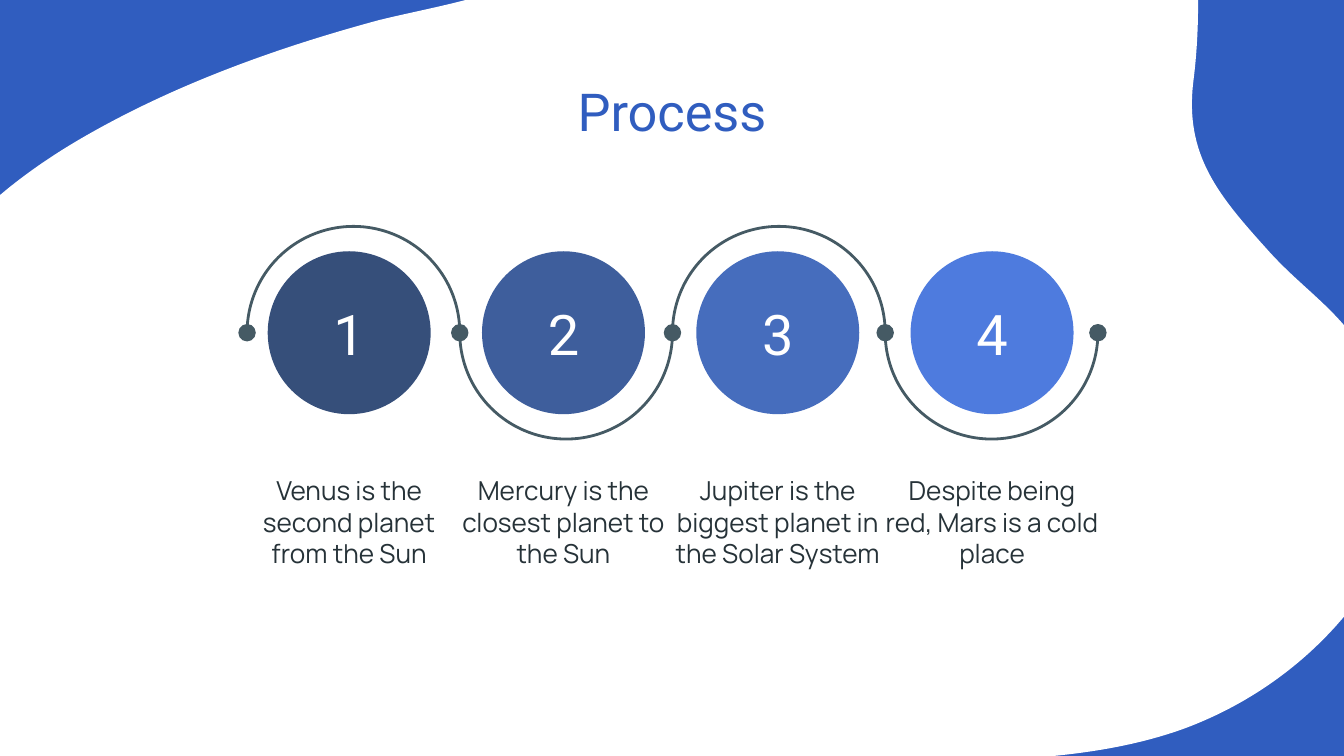
"""Build a slide with a four-step process along a winding line."""
from math import cos, radians, sin

from pptx import Presentation
from pptx.dml.color import RGBColor
from pptx.enum.shapes import MSO_SHAPE as Shape
from pptx.enum.text import MSO_ANCHOR as Anchor, MSO_AUTO_SIZE as AutoSize, PP_ALIGN as Align
from pptx.oxml.ns import qn
from pptx.util import Cm, Pt

COLORS = {"blue": "305DBF", "white": "FFFFFF", "line": "455A64", "text": "263238"}
STEPS = [
    ("364F7A", "Venus is the second planet from the Sun"),
    ("3E5E9C", "Mercury is the closest planet to the Sun"),
    ("466DBD", "Jupiter is the biggest planet in the Solar System"),
    ("4E7BDE", "Despite being red, Mars is a cold place"),
]
BLOB_ANGLE = 22.5
BLOB_START = (7.85, -2.1)
BLOB_CURVES = [
    ((7.52, -2.23), (7.1, -2.28), (6.56, -2.19)),
    ((5.7, -2.04), (5.05, -1.35), (4.58, -0.67)),
    ((4.18, -0.08), (3.43, 0), (2.82, 0.15)),
    ((2.08, 0.35), (1.32, 0.62), (0.64, 1.01)),
    ((-0.76, 1.81), (-1.14, 2.89), (-1.02, 4.23)),
    ((-0.98, 4.64), (-0.9, 5.28), (-0.17, 6)),
    ((0.1, 6.27), (0.41, 6.48), (0.74, 6.61)),
    ((1.59, 6.97), (2.61, 6.89), (3.76, 6.51)),
    ((4.13, 6.39), (4.48, 6.2), (4.83, 6.06)),
    ((5.21, 5.91), (5.6, 5.81), (6, 5.75)),
    ((6.93, 5.62), (7.91, 5.74), (8.79, 5.43)),
    ((9.26, 5.26), (9.68, 4.97), (10, 4.59)),
    ((10.41, 4.12), (10.54, 3.49), (10.3, 2.92)),
    ((10.08, 2.37), (9.76, 2.22), (9.45, 1.88)),
    ((9.07, 1.46), (8.81, 1.16), (8.88, 0.6)),
    ((8.97, -0.11), (8.96, -1.63), BLOB_START),
]
CENTER_Y = 6.29
CIRCLE_LEFT, CIRCLE_SIZE, CIRCLE_STEP = 5.06, 3.08, 4.05
ARC_LEFT, ARC_SIZE, DOT_SIZE = 4.67, 4.02, 0.33
CAPTION_WIDTH = 4.55


def write_text(shape, text, size, color, font="Roboto", anchor=Anchor.TOP, fit=AutoSize.NONE):
    frame = shape.text_frame
    frame.word_wrap = True
    frame.auto_size = fit
    frame.vertical_anchor = anchor
    frame.margin_left = frame.margin_right = frame.margin_top = frame.margin_bottom = Cm(0.25)
    paragraph = frame.paragraphs[0]
    paragraph.alignment = Align.CENTER
    run = paragraph.add_run()
    run.text = text
    run.font.name = font
    run.font.size = Pt(size)
    run.font.color.rgb = RGBColor.from_string(COLORS[color])


def fill_plain(shape, color):
    shape.shadow.inherit = False
    shape.fill.solid()
    shape.fill.fore_color.rgb = RGBColor.from_string(color)
    shape.line.fill.background()


presentation = Presentation()
presentation.slide_width, presentation.slide_height = Cm(25.4), Cm(14.29)
slide = presentation.slides.add_slide(presentation.slide_layouts[5])
shapes = slide.shapes
background = slide.background.fill
background.solid()
background.fore_color.rgb = RGBColor.from_string(COLORS["blue"])

turn = complex(cos(radians(BLOB_ANGLE)), sin(radians(BLOB_ANGLE)))
outline = []
for x, y in [BLOB_START] + [point for curve in BLOB_CURVES for point in curve]:
    turned = complex(x, y) / turn
    outline.append((Cm(2.54 * turned.real), Cm(2.54 * turned.imag)))
builder = shapes.build_freeform(*outline[0])
builder.add_line_segments(outline[1:], close=True)
blob = builder.convert_to_shape()
segments = list(blob.element.iter(qn("a:lnTo")))
for index in range(0, len(segments), 3):
    bezier = segments[index].makeelement(qn("a:cubicBezTo"))
    segments[index].addprevious(bezier)
    for segment in segments[index:index + 3]:
        bezier.append(segment[0])
        segment.getparent().remove(segment)
center = complex(blob.left + blob.width / 2, blob.top + blob.height / 2) * turn
blob.left = int(center.real - blob.width / 2)
blob.top = int(center.imag - blob.height / 2)
blob.rotation = BLOB_ANGLE
fill_plain(blob, COLORS["white"])

title = shapes.title
blob.element.addnext(title.element)
title.left, title.top, title.width, title.height = Cm(1.9), Cm(1.24), Cm(21.6), Cm(1.6)
write_text(title, "Process", 28, "blue")

for index, (color, caption) in enumerate(STEPS):
    left = CIRCLE_LEFT + index * CIRCLE_STEP
    circle = shapes.add_shape(
        Shape.OVAL, Cm(left), Cm(CENTER_Y - CIRCLE_SIZE / 2), Cm(CIRCLE_SIZE), Cm(CIRCLE_SIZE)
    )
    fill_plain(circle, color)

    arc = shapes.add_shape(
        Shape.ARC, Cm(ARC_LEFT + index * ARC_SIZE), Cm(CENTER_Y - ARC_SIZE / 2), Cm(ARC_SIZE), Cm(ARC_SIZE)
    )
    arc.adjustments[0], arc.adjustments[1] = (0, 108) if index % 2 else (108, 0)
    arc.shadow.inherit = False
    arc.fill.background()
    arc.line.color.rgb = RGBColor.from_string(COLORS["line"])
    arc.line.width = Pt(1.5)

    number_box = shapes.add_textbox(Cm(left), Cm(CENTER_Y - 0.66), Cm(CIRCLE_SIZE), Cm(1.32))
    write_text(number_box, str(index + 1), 30, "white", anchor=Anchor.MIDDLE)

    caption_left = left + (CIRCLE_SIZE - CAPTION_WIDTH) / 2
    caption_box = shapes.add_textbox(Cm(caption_left), Cm(8.72), Cm(CAPTION_WIDTH), Cm(2.46))
    write_text(caption_box, caption, 14, "text", font="Manrope", fit=AutoSize.TEXT_TO_FIT_SHAPE)

for index in range(len(STEPS) + 1):
    dot_left = ARC_LEFT + index * ARC_SIZE - DOT_SIZE / 2
    dot = shapes.add_shape(
        Shape.OVAL, Cm(dot_left), Cm(CENTER_Y - DOT_SIZE / 2), Cm(DOT_SIZE), Cm(DOT_SIZE)
    )
    fill_plain(dot, COLORS["line"])

presentation.save("out.pptx")
